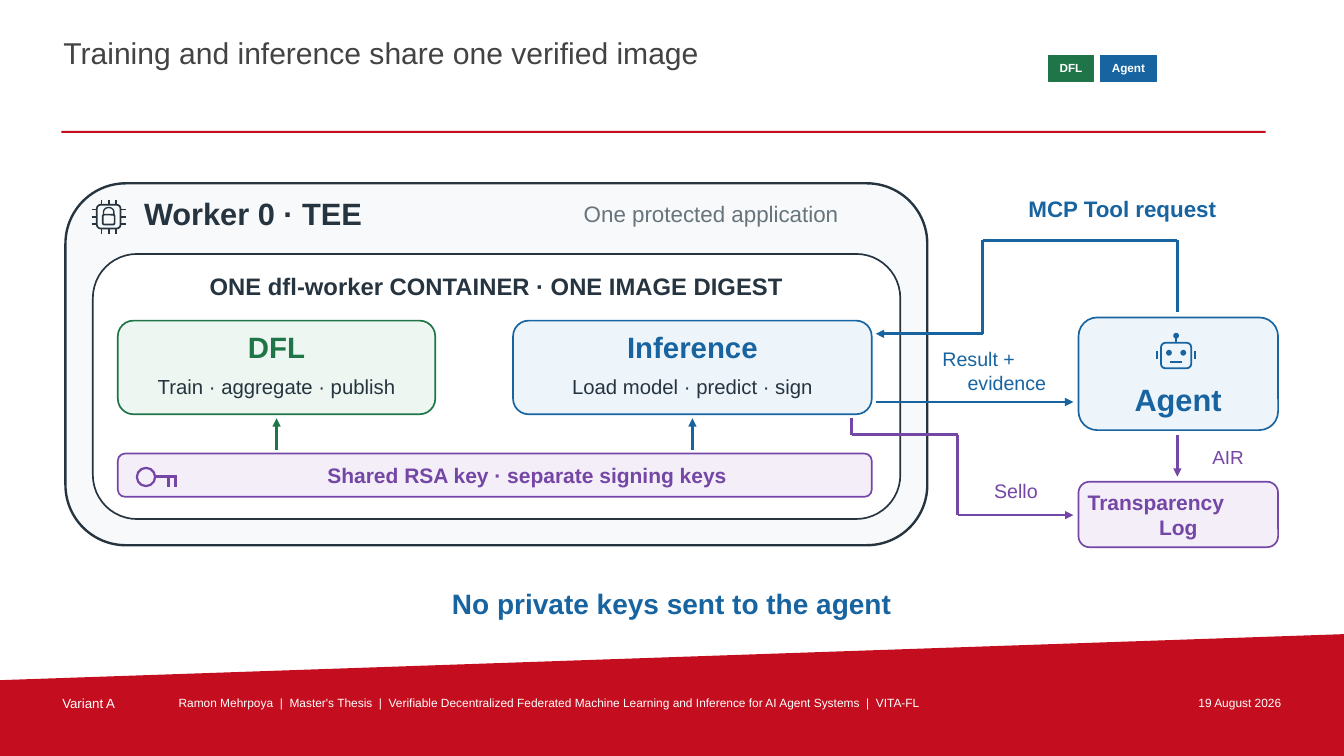
from itertools import pairwise
from math import cos, pi, sin

from lxml import etree
from pptx import Presentation
from pptx.dml.color import RGBColor
from pptx.enum.shapes import MSO_CONNECTOR, MSO_SHAPE
from pptx.enum.text import MSO_ANCHOR, PP_ALIGN
from pptx.oxml.ns import qn
from pptx.util import Cm, Pt

RECT, ROUND, OVAL = MSO_SHAPE.RECTANGLE, MSO_SHAPE.ROUNDED_RECTANGLE, MSO_SHAPE.OVAL
STRAIGHT = MSO_CONNECTOR.STRAIGHT
LEFT, CENTER, RIGHT = PP_ALIGN.LEFT, PP_ALIGN.CENTER, PP_ALIGN.RIGHT
TOP, MIDDLE = MSO_ANCHOR.TOP, MSO_ANCHOR.MIDDLE
RED, WHITE, INK, GRAY = "C40D1E", "FFFFFF", "263440", "67747C"
GREEN, BLUE, PURPLE = "207548", "1764A1", "7446A6"
PALE_GREEN, PALE_BLUE, PALE_PURPLE, PALE_GRAY = "EDF6F0", "EDF4FA", "F3EEF8", "F7F9FA"


def color(value):
    """Turn a hex string into a colour."""
    return RGBColor.from_string(value)


def write(box, text, size=14, ink=INK, bold=False, align=CENTER, first_align=None,
          anchor=MIDDLE, margin=0, left_margin=None):
    """Fill a box with one paragraph per line of text."""
    frame = box.text_frame
    frame.word_wrap = True
    frame.vertical_anchor = anchor
    frame.margin_right = frame.margin_top = frame.margin_bottom = Cm(margin)
    frame.margin_left = Cm(margin if left_margin is None else left_margin)
    for index, line in enumerate(text.split("\n")):
        para = frame.add_paragraph() if index else frame.paragraphs[0]
        para.alignment = align if index or first_align is None else first_align
        span = para.add_run()
        span.text = line
        span.font.name = "Arial"
        span.font.size = Pt(size)
        span.font.bold = bold
        span.font.color.rgb = color(ink)


def add_text(page, bounds, text, **style):
    """Place a text box in the given bounds."""
    write(page.shapes.add_textbox(*map(Cm, bounds)), text, **style)


def paint(shape, fill, line=None, weight=1.2):
    """Set fill and outline and drop the shadow."""
    shape.shadow.inherit = False
    shape.fill.solid()
    shape.fill.fore_color.rgb = color(fill)
    if line:
        shape.line.color.rgb = color(line)
        shape.line.width = Pt(weight)
    else:
        shape.line.fill.background()


def add_shape(page, kind, bounds, fill, line=None, weight=1.2):
    """Draw a painted preset shape."""
    shape = page.shapes.add_shape(kind, *map(Cm, bounds))
    paint(shape, fill, line, weight)
    return shape


def add_outline(page, points, fill, line=None, weight=1.2, close=True):
    """Draw a painted freeform through the points."""
    corners = [(Cm(x), Cm(y)) for x, y in points]
    builder = page.shapes.build_freeform(*corners[0])
    builder.add_line_segments(corners[1:], close=close)
    paint(builder.convert_to_shape(), fill, line, weight)


def add_line(page, start, end, ink, weight, arrow=False):
    """Draw a straight connector, with an arrowhead if asked."""
    line = page.shapes.add_connector(STRAIGHT, *map(Cm, (*start, *end)))
    line.line.color.rgb = color(ink)
    line.line.width = Pt(weight)
    if arrow:
        etree.SubElement(line.line._get_or_add_ln(), qn("a:tailEnd"), type="triangle")
    etree.SubElement(line._element.spPr, qn("a:effectLst"))
    return line


def add_route(page, points, ink, weight):
    """Join the points with lines, the last one ending in an arrowhead."""
    for start, end in pairwise(points):
        add_line(page, start, end, ink, weight, arrow=end == points[-1])


def add_tag(page, left, width, text, fill):
    """Draw a small label in the header."""
    tag = add_shape(page, RECT, (left, 1.4, width, 0.64), fill, fill, 0.55)
    write(tag, text, size=8.4, ink=WHITE, bold=True)


def add_card(page, left, width, name, steps, ink, fill):
    """Draw a task card and the arrow that reaches it from the key bar."""
    add_shape(page, ROUND, (left, 8.08, width, 2.36), fill, ink)
    inner, room = left + 0.35, width - 0.7
    add_text(page, (inner, 8.26, room, 0.97), name, size=21, ink=ink, bold=True)
    add_text(page, (inner, 9.4, room, 0.69), steps, size=14.5)
    middle = left + width / 2
    add_line(page, (middle, 11.35), (middle, 10.54), ink, 1.8, arrow=True)


def add_chip(page, x, y):
    """Draw a chip with a padlock, centred on x and y."""
    half, tip = 0.3, 0.43
    chip = add_shape(page, ROUND, (x - half, y - half, 2 * half, 2 * half), PALE_GRAY, INK, 1.21)
    for side, (dx, dy) in enumerate([(0, -1), (-1, 0), (0, 1), (1, 0)]):
        for shift in (-0.18, 0, 0.18):
            px, py = x + shift * abs(dy), y + shift * abs(dx)
            pin = add_line(page, (px + tip * dx, py + tip * dy),
                           (px + half * dx, py + half * dy), INK, 1.21)
            if not shift:
                pin.end_connect(chip, side)
    arc = [(x - 0.13 * cos(pi * step / 12), y - 0.12 - 0.11 * sin(pi * step / 12))
           for step in range(13)]
    shackle = [(x - 0.13, y - 0.03), *arc, (x + 0.13, y - 0.03)]
    add_outline(page, shackle, PALE_GRAY, INK, 0.95, close=False)
    add_shape(page, ROUND, (x - 0.15, y - 0.05, 0.3, 0.25), PALE_GRAY, INK, 1.21)


def add_key(page):
    """Draw the key symbol."""
    add_shape(page, OVAL, (3.45, 11.79, 0.46, 0.46), PALE_PURPLE, PURPLE, 1.6)
    add_line(page, (3.89, 12.01), (4.45, 12.01), PURPLE, 2)
    for x in (4.24, 4.42):
        add_line(page, (x, 12.01), (x, 12.27), PURPLE, 2)


def add_robot(page, x):
    """Draw the robot face, centred on x."""
    head = add_shape(page, ROUND, (x - 0.38, 8.64, 0.76, 0.64), PALE_BLUE, BLUE, 1.28)
    antenna = add_line(page, (x, 8.48), (x, 8.64), BLUE, 1.28)
    antenna.end_connect(head, 0)
    for dx, y in ((0, 8.41), (-0.18, 8.84), (0.18, 8.84)):
        add_shape(page, OVAL, (x + dx - 0.05, y, 0.1, 0.1), BLUE, BLUE, 1.28)
    for ear in (x - 0.48, x + 0.48):
        add_line(page, (ear, 8.84), (ear, 9.04), BLUE, 1.28)
    add_line(page, (x - 0.15, 9.12), (x + 0.15, 9.12), BLUE, 1.28)


def add_frame(page):
    """Draw the title, the tags and the footer."""
    add_outline(page, [(0, 17.14), (33.87, 15.98), (33.87, 19.05), (0, 19.05)], RED)
    add_text(page, (1.55, 0.81, 24.51, 1.57), "Training and inference share one verified image",
             size=21.5, ink="434343", align=LEFT, anchor=TOP, margin=0.05)
    add_shape(page, RECT, (1.55, 3.3, 30.35, 0.05), RED)
    add_tag(page, 26.42, 1.14, "DFL", GREEN)
    add_tag(page, 27.74, 1.4, "Agent", BLUE)
    footers = [
        (1.52, 2.54, "Variant A", 9.5, LEFT),
        (4.45, 23.75, "Ramon Mehrpoya  |  Master's Thesis  |  Verifiable Decentralized Federated "
         "Machine Learning and Inference for AI Agent Systems  |  VITA-FL", 8.5, LEFT),
        (28.45, 3.89, "19 August 2026", 8.5, RIGHT),
    ]
    for left, width, text, size, align in footers:
        add_text(page, (left, 17.48, width, 0.56), text, size=size, ink=WHITE,
                 align=align, anchor=TOP, margin=0.05)


def add_worker(page):
    """Draw the worker with its container, cards and keys."""
    add_shape(page, ROUND, (1.65, 4.62, 21.72, 9.12), PALE_GRAY, INK, 1.7)
    add_chip(page, 2.74, 5.46)
    add_text(page, (3.63, 4.88, 8.69, 0.99), "Worker 0 · TEE", size=22, bold=True, align=LEFT)
    add_text(page, (13.36, 4.93, 9.12, 0.89), "One protected application", size=16, ink=GRAY)
    add_shape(page, ROUND, (2.34, 6.4, 20.35, 6.68), WHITE, INK)
    add_text(page, (2.87, 6.78, 19.28, 0.86), "ONE dfl-worker CONTAINER · ONE IMAGE DIGEST",
             size=17, bold=True)
    add_card(page, 2.97, 8, "DFL", "Train · aggregate · publish", GREEN, PALE_GREEN)
    add_card(page, 12.93, 9.04, "Inference", "Load model · predict · sign", BLUE, PALE_BLUE)
    key_bar = add_shape(page, ROUND, (2.97, 11.43, 19, 1.09), PALE_PURPLE, PURPLE)
    write(key_bar, "Shared RSA key · separate signing keys", size=15, ink=PURPLE,
          bold=True, left_margin=1.63)
    add_key(page)


def add_agent(page):
    """Draw the agent, the log and the messages between them and the worker."""
    add_shape(page, ROUND, (27.18, 8, 5.03, 2.84), PALE_BLUE, BLUE)
    add_robot(page, 29.64)
    add_text(page, (27.53, 9.53, 4.32, 1.04), "Agent", size=22, ink=BLUE, bold=True)
    log = add_shape(page, ROUND, (27.18, 12.14, 5.03, 1.65), PALE_PURPLE, PURPLE)
    write(log, "Transparency\nLog", size=15, ink=PURPLE, bold=True, first_align=LEFT, margin=0.15)
    add_route(page, [(29.67, 7.87), (29.67, 6.05), (24.77, 6.05), (24.77, 8.41), (22.07, 8.41)],
              BLUE, 2)
    add_route(page, [(22.07, 10.13), (27.05, 10.13)], BLUE, 2)
    add_route(page, [(29.67, 10.97), (29.67, 12.01)], PURPLE, 1.8)
    add_route(page, [(21.46, 10.54), (21.46, 10.95), (24.13, 10.95), (24.13, 12.98),
                     (27.05, 12.98)], PURPLE, 1.8)
    add_text(page, (24.36, 4.83, 7.85, 0.86), "MCP Tool request", size=16, ink=BLUE, bold=True)
    add_text(page, (23.75, 8.64, 3.25, 1.4), "Result +\nevidence", ink=BLUE, first_align=LEFT)
    add_text(page, (30.1, 11.18, 1.7, 0.69), "AIR", size=13.5, ink=PURPLE)
    add_text(page, (24.26, 12.01, 2.69, 0.69), "Sello", ink=PURPLE)


def main():
    """Build the slide and save it."""
    deck = Presentation()
    deck.slide_width, deck.slide_height = Cm(33.87), Cm(19.05)
    page = deck.slides.add_slide(deck.slide_layouts[6])
    add_frame(page)
    add_worker(page)
    add_agent(page)
    add_text(page, (1.65, 14.68, 30.56, 1.07), "No private keys sent to the agent",
             size=20, ink=BLUE, bold=True)
    deck.save("out.pptx")


if __name__ == "__main__":
    main()
